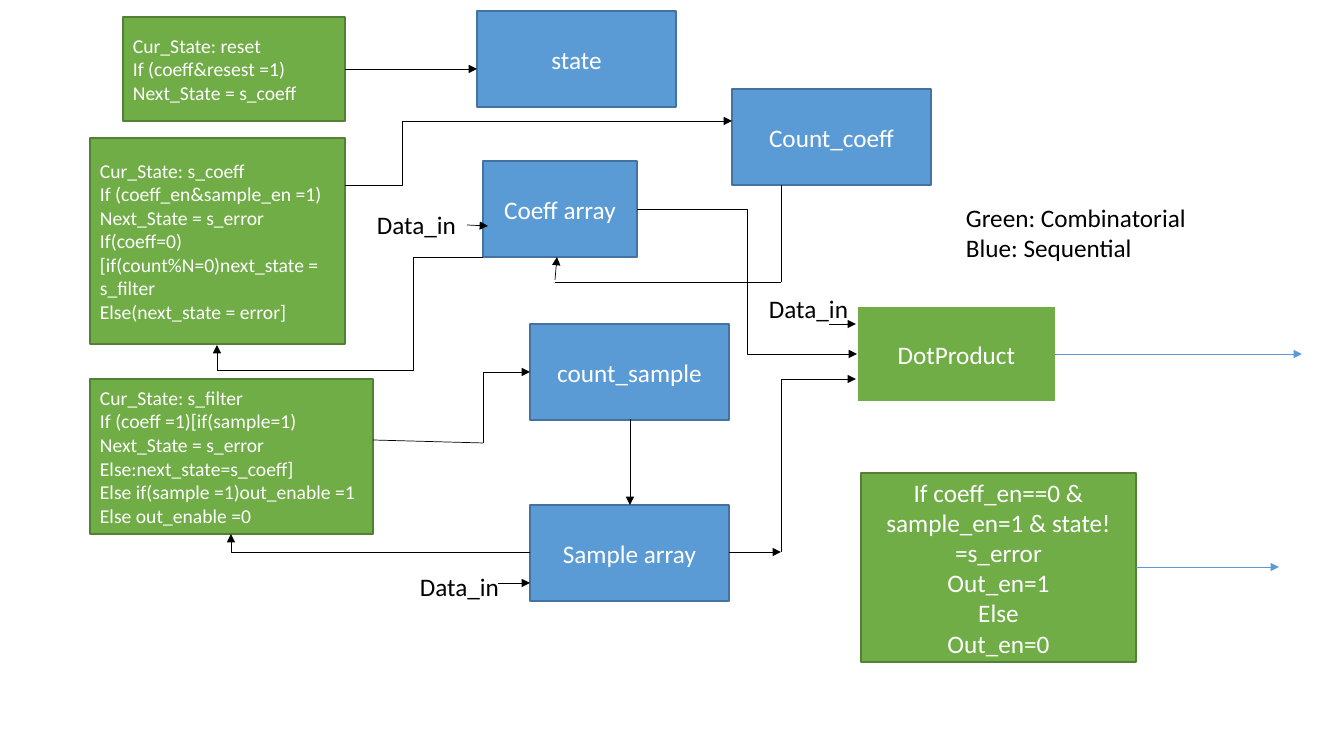
from dataclasses import dataclass

from lxml.etree import SubElement
from pptx import Presentation
from pptx.dml.color import RGBColor
from pptx.enum.shapes import MSO_CONNECTOR as Connector, MSO_SHAPE as Shape
from pptx.enum.text import MSO_ANCHOR as Anchor, MSO_AUTO_SIZE as AutoSize, PP_ALIGN as Align
from pptx.oxml.ns import qn
from pptx.util import Pt

EMU_PER_PIXEL = 914400 / 100.8


def px(value):
    return round(value * EMU_PER_PIXEL)


@dataclass(frozen=True)
class Theme:
    font: str = "Calibri"
    small: int = 14
    normal: int = 18
    box_line: float = 1
    output_line: float = 1.5
    wire: float = 0.5
    green: str = "70AD47"
    dark_green: str = "538035"
    blue: str = "5B9BD5"
    dark_blue: str = "43739E"
    black: str = "000000"
    white: str = "FFFFFF"


class Diagram:
    def __init__(self, slide, theme):
        self.slide = slide
        self.theme = theme

    def set_text(self, text_frame, lines, size, color, align):
        text_frame.text = "\n".join(lines)
        for paragraph in text_frame.paragraphs:
            paragraph.alignment = align
            for run in paragraph.runs:
                run.font.name = self.theme.font
                run.font.size = Pt(size)
                run.font.color.rgb = RGBColor.from_string(color)

    def box(self, bounds, lines, fill, outline, size=None, align=Align.CENTER, width=None):
        shape = self.slide.shapes.add_shape(Shape.FLOWCHART_PROCESS, *map(px, bounds))
        shape.shadow.inherit = False
        shape.fill.solid()
        shape.fill.fore_color.rgb = RGBColor.from_string(fill)
        shape.line.color.rgb = RGBColor.from_string(outline)
        shape.line.width = Pt(width or self.theme.box_line)
        shape.text_frame.word_wrap = True
        shape.text_frame.vertical_anchor = Anchor.MIDDLE
        self.set_text(shape.text_frame, lines, size or self.theme.normal,
                      self.theme.white, align)

    def register(self, left, top, name, width=199):
        self.box((left, top, width, 96), [name], self.theme.blue, self.theme.dark_blue)

    def state_logic(self, bounds, lines):
        self.box(bounds, lines, self.theme.green, self.theme.dark_green,
                 self.theme.small, Align.LEFT)

    def label(self, bounds, lines):
        text_frame = self.slide.shapes.add_textbox(*map(px, bounds)).text_frame
        text_frame.word_wrap = False
        text_frame.auto_size = AutoSize.SHAPE_TO_FIT_TEXT
        self.set_text(text_frame, lines, self.theme.normal, self.theme.black, Align.LEFT)

    def line(self, start, end, arrow=True, color=None, kind=Connector.STRAIGHT):
        connector = self.slide.shapes.add_connector(kind, *map(px, (*start, *end)))
        connector.line.color.rgb = RGBColor.from_string(color or self.theme.black)
        connector.line.width = Pt(self.theme.wire)
        properties = connector.element.spPr
        if arrow:
            SubElement(properties.find(qn("a:ln")), qn("a:tailEnd"), type="triangle")
        SubElement(properties, qn("a:effectLst"))
        return connector

    def elbow(self, start, end, preset, adjustments=(), vertical_first=False):
        if vertical_first:  # turn the ends back a quarter, the rotation restores them
            middle_x, middle_y = (start[0] + end[0]) / 2, (start[1] + end[1]) / 2
            start, end = [(middle_x + y - middle_y, middle_y - x + middle_x)
                          for x, y in (start, end)]
        connector = self.line(start, end, kind=Connector.ELBOW)
        properties = connector.element.spPr
        geometry = properties.find(qn("a:prstGeom"))
        geometry.set("prst", preset)
        guides = geometry.find(qn("a:avLst"))
        if guides is None:
            guides = SubElement(geometry, qn("a:avLst"))
        for number, share in enumerate(adjustments, 1):
            # A lone guide is called adj1 as well
            SubElement(guides, qn("a:gd"), name=f"adj{number}",
                       fmla=f"val {round(share * 100000)}")
        if vertical_first:
            properties.find(qn("a:xfrm")).set("rot", "5400000")


presentation = Presentation()
presentation.slide_width, presentation.slide_height = px(1344), px(756)
theme = Theme()
diagram = Diagram(presentation.slides.add_slide(presentation.slide_layouts[6]), theme)

# Next-state logic
diagram.state_logic((123, 17, 222, 104), [
    "Cur_State: reset", "If (coeff&resest =1)", "Next_State = s_coeff"])
diagram.state_logic((90, 138, 255, 206), [
    "Cur_State: s_coeff", "If (coeff_en&sample_en =1)", "Next_State = s_error",
    "If(coeff=0)[if(count%N=0)next_state = s_filter", "Else(next_state = error]"])
diagram.state_logic((90, 379, 283, 155), [
    "Cur_State: s_filter", "If (coeff =1)[if(sample=1)", "Next_State = s_error",
    "Else:next_state=s_coeff]", "Else if(sample =1)out_enable =1", "Else out_enable =0"])

# Output logic
diagram.box((861, 473, 275, 189), [
    "If coeff_en==0 & sample_en=1 & state!=s_error", "Out_en=1", "Else", "Out_en=0"],
    theme.green, theme.dark_green)
diagram.box((857, 306, 199, 96), ["DotProduct"], theme.green, theme.white,
            width=theme.output_line)

# Registers
diagram.register(732, 89, "Count_coeff")
diagram.register(483, 161, "Coeff array", width=154)
diagram.register(530, 505, "Sample array")
diagram.register(530, 324, "count_sample")
diagram.register(477, 11, "state")

# Wires without an arrowhead
for start, end in [
    ((781, 185), (781, 282)), ((781, 282), (555, 282)),  # Count_coeff to Coeff array
    ((373, 440), (483, 443)),                            # s_filter to count_sample
    ((781, 552), (781, 379)),                            # Sample array to DotProduct
]:
    diagram.line(start, end, arrow=False)

# Straight arrows
for start, end in [
    ((555, 280), (557, 257)),  # into Coeff array
    ((345, 69), (477, 69)),    # reset to state
    ((630, 419), (630, 505)),  # count_sample to Sample array
    ((729, 552), (781, 552)), ((781, 379), (856, 379)),                           # to DotProduct
    ((829, 324), (856, 324)), ((467, 225), (488, 226)), ((498, 583), (530, 583)),  # Data_in
]:
    diagram.line(start, end)
for start, end in [((1055, 354), (1302, 354)), ((1136, 567), (1279, 567))]:
    diagram.line(start, end, color=theme.blue)

# Bent arrows
diagram.elbow((345, 185), (732, 121), "bentConnector3", [0.148])
diagram.elbow((483, 443), (530, 372), "bentConnector2", vertical_first=True)
diagram.elbow((530, 552), (231, 534), "bentConnector2")
diagram.elbow((483, 257), (217, 345), "bentConnector4", [0.26, 1.288])
diagram.elbow((637, 209), (857, 354), "bentConnector3", [0.5])

# Input labels and colour key
for left, top in [(759, 288), (367, 204), (410, 566)]:
    diagram.label((left, top, 101, 40), ["Data_in"])
diagram.label((956, 197, 243, 71), ["Green: Combinatorial", "Blue: Sequential"])

presentation.save("out.pptx")
